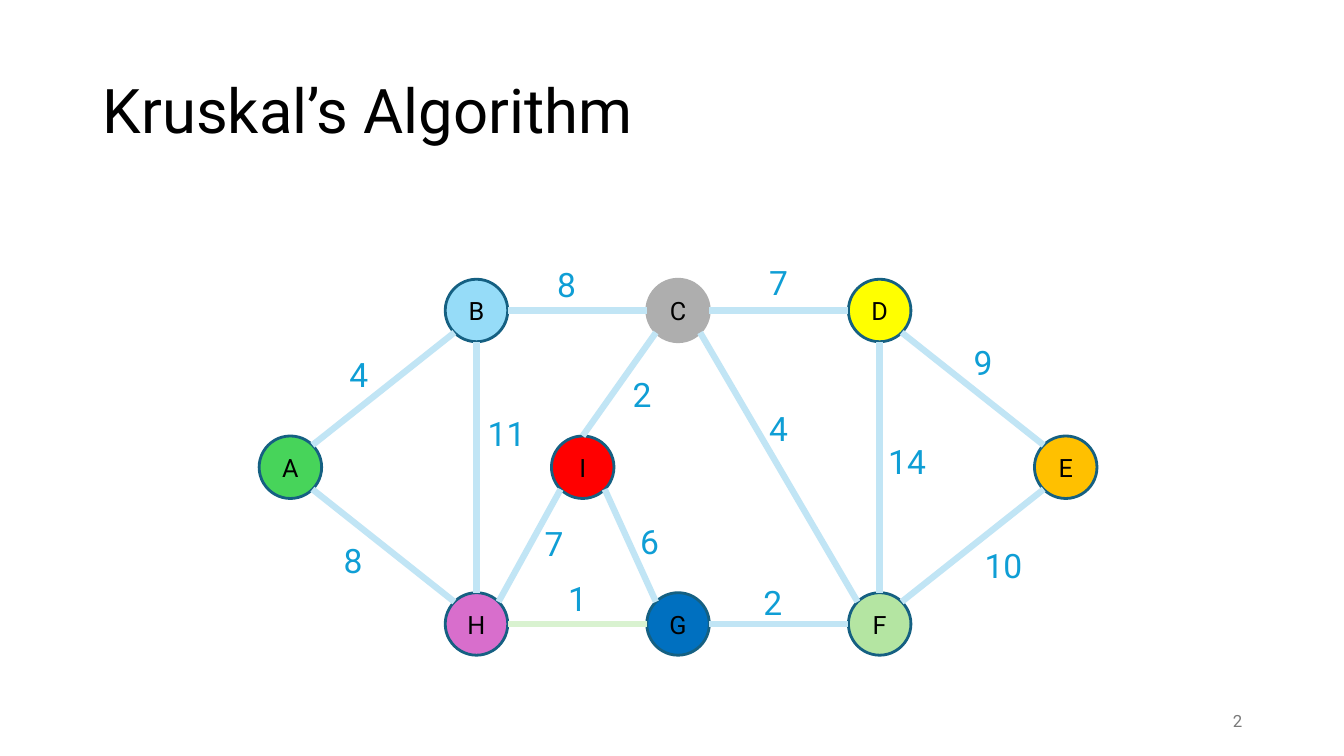
from math import hypot

from lxml import etree
from pptx import Presentation
from pptx import util as u
from pptx.dml.color import RGBColor
from pptx.enum import shapes, text
from pptx.oxml import ns

WIDTH, HEIGHT = 13.33, 7.5
FONT = "Roboto"
COLOURS = {
    "title": "000000", "number": "797979", "outline": "156082",
    "edge": "C1E5F5", "chosen": "D9F2D0", "weight": "0F9ED5",
    "grey": "AEAEAE",
}
NODE_SIZE = 0.62
WEIGHT_SIZE = (0.86, 0.5)

# name: (column share, row share, fill, outline)
NODES = {
    "D": (0.76, 0, "FFFF00", COLOURS["outline"]),
    "C": (0.5, 0, COLOURS["grey"], COLOURS["grey"]),
    "B": (0.24, 0, "96DCF8", COLOURS["outline"]),
    "A": (0, 0.5, "47D45A", COLOURS["outline"]),
    "H": (0.24, 1, "D86ECC", COLOURS["outline"]),
    "G": (0.5, 1, "0070C0", COLOURS["outline"]),
    "F": (0.76, 1, "B4E5A2", COLOURS["outline"]),
    "I": (0.377, 0.5, "FF0000", COLOURS["outline"]),
    "E": (1, 0.5, "FFC000", COLOURS["outline"]),
}
COMPASS = {
    "N": (0, -1), "S": (0, 1), "W": (-1, 0), "E": (1, 0),
    "NW": (-1, -1), "NE": (1, -1), "SW": (-1, 1), "SE": (1, 1),
}
# start, side, end, side, weight, weight's left and top as shares of the graph
EDGES = [
    ("C", "SE", "F", "NW", "4", 0.597, 0.33),
    ("C", "E", "D", "W", "7", 0.597, -0.059),
    ("E", "NW", "D", "SE", "9", 0.841, 0.153),
    ("E", "SW", "F", "NE", "10", 0.854, 0.694),
    ("D", "S", "F", "N", "14", 0.739, 0.416),
    ("I", "SE", "G", "NW", "6", 0.443, 0.63),
    ("G", "E", "F", "W", "2", 0.59, 0.791),
    ("I", "N", "C", "SW", "2", 0.434, 0.239),
    ("B", "E", "C", "W", "8", 0.344, -0.054),
    ("A", "NE", "B", "SW", "4", 0.096, 0.185),
    ("A", "SE", "H", "NW", "8", 0.089, 0.681),
    ("G", "W", "H", "E", "1", 0.357, 0.78),
    ("I", "SW", "H", "NE", "7", 0.329, 0.635),
    ("H", "N", "B", "S", "11", 0.261, 0.343),
]


def inches(values):
    return [u.Inches(value) for value in values]


def rgb(colour):
    return RGBColor.from_string(colour)


def write(shape, words, size, colour, align, anchor):
    frame = shape.text_frame
    frame.word_wrap = True
    frame.vertical_anchor = anchor
    paragraph = frame.paragraphs[0]
    paragraph.alignment = align
    run = paragraph.add_run()
    run.text = words
    run.font.size = u.Pt(size)
    run.font.name = FONT
    run.font.color.rgb = rgb(colour)
    return paragraph


def add_label(slide, box, words, size, colour, align=text.PP_ALIGN.LEFT,
              anchor=text.MSO_ANCHOR.MIDDLE):
    shape = slide.shapes.add_textbox(*inches(box))
    return write(shape, words, size, colour, align, anchor)


def add_title(slide, box, words):
    add_label(slide, box, words, 44, COLOURS["title"]).line_spacing = 0.9


def add_page_number(slide, box, number):
    add_label(slide, box, number, 12, COLOURS["number"], text.PP_ALIGN.RIGHT)


def add_node(slide, name, centre, fill, outline):
    corner = [place - NODE_SIZE / 2 for place in centre]
    node = slide.shapes.add_shape(
        shapes.MSO_SHAPE.OVAL, *inches((*corner, NODE_SIZE, NODE_SIZE)))
    node.shadow.inherit = False
    node.fill.solid()
    node.fill.fore_color.rgb = rgb(fill)
    node.line.color.rgb = rgb(outline)
    node.line.width = u.Pt(2)
    write(node, name, 18, COLOURS["title"], text.PP_ALIGN.CENTER,
          text.MSO_ANCHOR.MIDDLE)


def rim_point(centre, side):
    """Return the point on a node's circle that faces a compass side."""
    direction = COMPASS[side]
    reach = NODE_SIZE / 2 / hypot(*direction)
    return [place + reach * step for place, step in zip(centre, direction)]


def add_edge(slide, start, end, colour):
    edge = slide.shapes.add_connector(
        shapes.MSO_CONNECTOR.STRAIGHT, *inches((*start, *end)))
    edge.line.color.rgb = rgb(colour)
    edge.line.width = u.Pt(4.5)
    etree.SubElement(edge._element.spPr, ns.qn("a:effectLst"))


def add_graph(slide, box):
    left, top, width, height = box
    radius = NODE_SIZE / 2
    centres = {
        name: (left + radius + column * (width - NODE_SIZE),
               top + radius + row * (height - NODE_SIZE))
        for name, (column, row, _, _) in NODES.items()
    }
    for name, (_, _, fill, outline) in NODES.items():
        add_node(slide, name, centres[name], fill, outline)
    for start, start_side, end, end_side, weight, column, row in EDGES:
        colour = COLOURS["chosen" if weight == "1" else "edge"]
        add_edge(slide, rim_point(centres[start], start_side),
                 rim_point(centres[end], end_side), colour)
    for *_, weight, column, row in EDGES:
        place = (left + column * width, top + row * height)
        add_label(slide, (*place, *WEIGHT_SIZE), weight, 24,
                  COLOURS["weight"], anchor=text.MSO_ANCHOR.TOP)


def main():
    presentation = Presentation()
    presentation.slide_width = u.Inches(WIDTH)
    presentation.slide_height = u.Inches(HEIGHT)
    slide = presentation.slides.add_slide(presentation.slide_layouts[6])
    add_title(slide, (0.92, 0.4, 11.5, 1.45), "Kruskal’s Algorithm")
    add_page_number(slide, (9.42, 6.95, 3, 0.4), "2")
    add_graph(slide, (2.57, 2.77, 8.31, 3.73))
    presentation.save("out.pptx")


if __name__ == "__main__":
    main()
